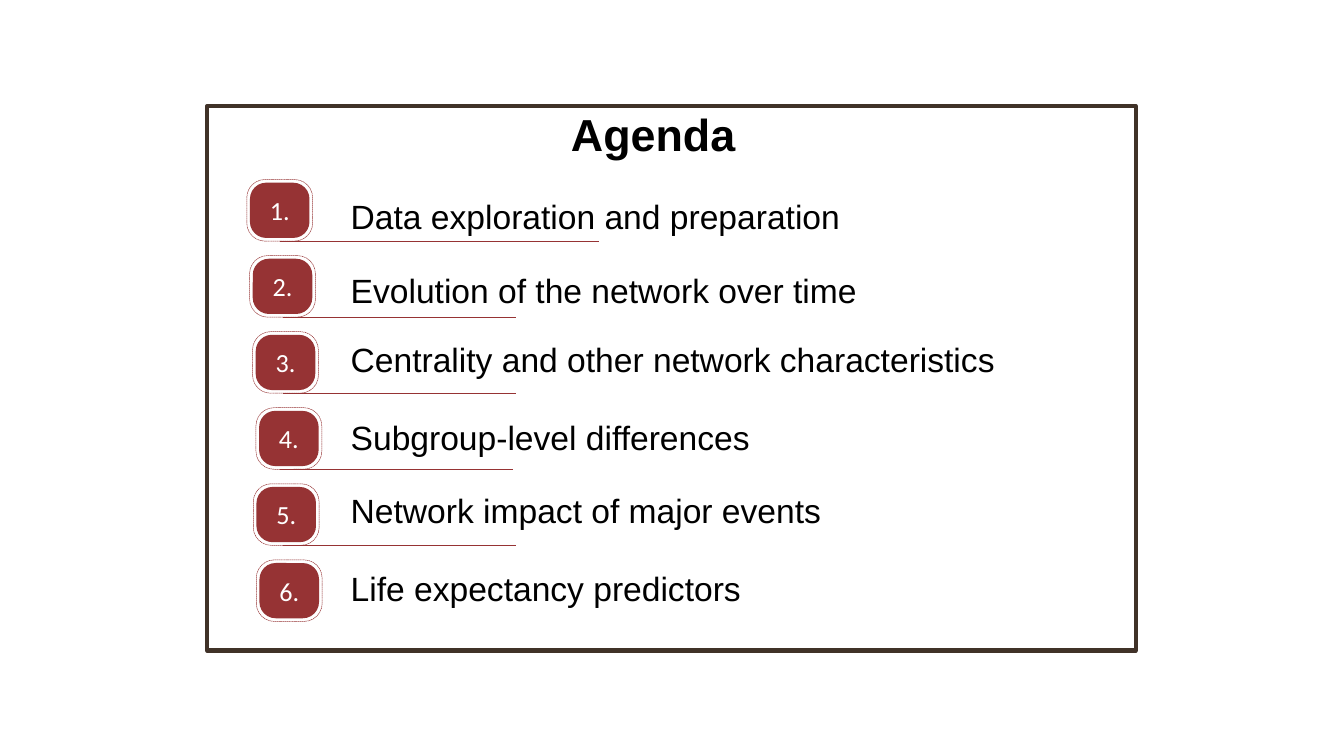
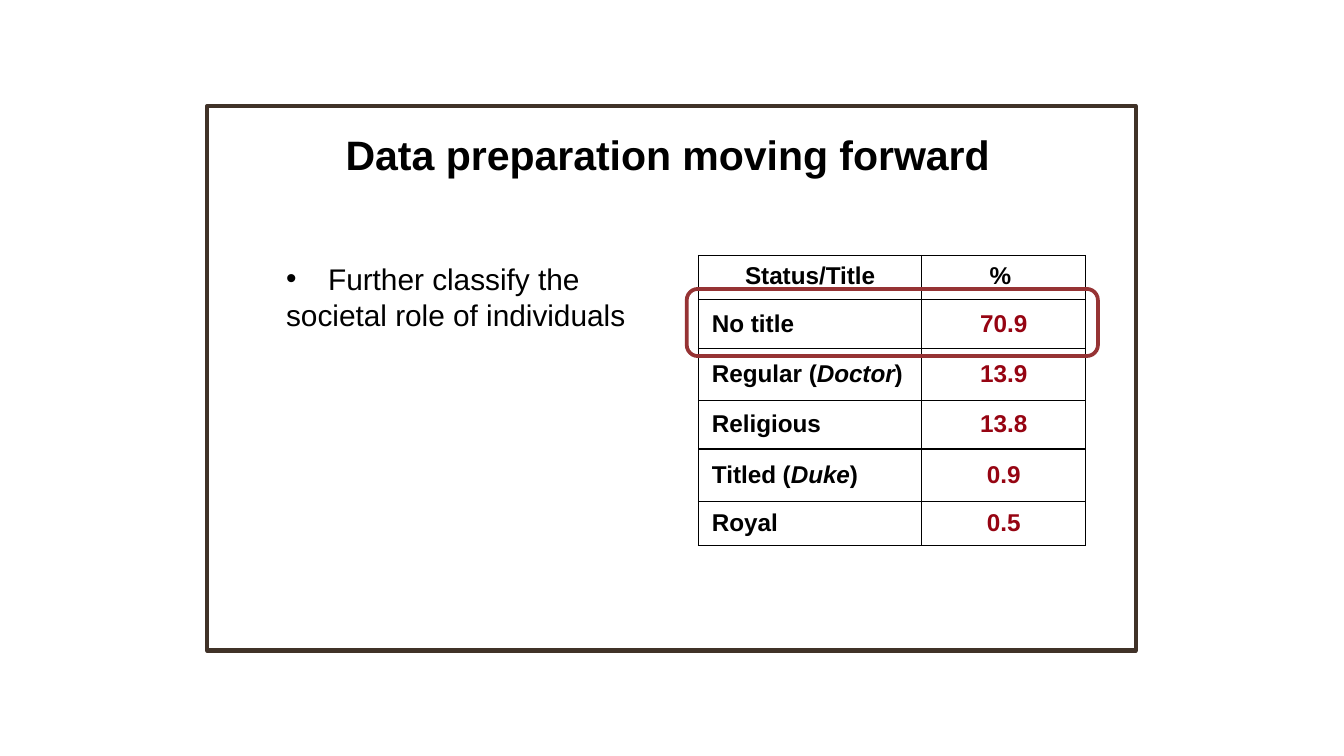
from dataclasses import dataclass

from lxml.etree import SubElement
from pptx import Presentation
from pptx.dml.color import RGBColor
from pptx.enum.dml import MSO_LINE_DASH_STYLE as Dash
from pptx.enum.shapes import MSO_CONNECTOR_TYPE as Connector
from pptx.enum.shapes import MSO_SHAPE as Shape
from pptx.enum.text import MSO_ANCHOR as Anchor
from pptx.enum.text import PP_ALIGN as Align
from pptx.oxml.ns import qn
from pptx.util import Pt


@dataclass(frozen=True)
class Theme:
    font: str = "Arial"
    badge_font: str = "Calibri"
    black: str = "000000"
    white: str = "FFFFFF"
    frame: str = "403228"
    accent: str = "963334"
    value: str = "960412"
    agenda_title_size: float = 24
    title_size: float = 22
    agenda_size: float = 18
    body_size: float = 16
    badge_size: float = 14
    table_size: float = 13


THEME = Theme()
BADGE_WIDTH, BADGE_HEIGHT = 31.9, 29.6
RING_GAP = 1.7
BADGE_TOP, BADGE_PITCH = 97.9, 40.75

# text, text top, badge left, underline start and end
AGENDA = [
    ("Data exploration and preparation", 103.7, 133.9, 149.8, 321.1),
    ("Evolution of the network over time", 143.3, 135.4, 151.6, 276.5),
    ("Centrality and other network characteristics", 180.7, 137, 151.6, 276.5),
    ("Subgroup-level differences", 222.5, 138.8, 149.8, 275),
    ("Network impact of major events", 261.4, 137.4, 151.6, 276.5),
    ("Life expectancy predictors", 303.1, 139, None, None),
]

# status, example in italics, percentage
STATUSES = [
    ("No title", "", "70.9"),
    ("Regular (", "Doctor", "13.9"),
    ("Religious", "", "13.8"),
    ("Titled (", "Duke", "0.9"),
    ("Royal", "", "0.5"),
]
COLUMN_WIDTHS = [119.5, 88]
ROW_HEIGHTS = [23.6, 26.4, 27.6, 26.2, 28, 23.6]


def rgb(colour):
    return RGBColor.from_string(colour)


def style(font, size, colour=THEME.black, name=THEME.font, bold=False):
    font.size, font.name, font.bold = Pt(size), name, bold
    font.color.rgb = rgb(colour)


def add_box(slide, kind, left, top, width, height, fill=None, line=None,
            weight=1.0):
    box = slide.shapes.add_shape(kind, Pt(left), Pt(top), Pt(width), Pt(height))
    box.shadow.inherit = False
    if fill:
        box.fill.solid()
        box.fill.fore_color.rgb = rgb(fill)
    else:
        box.fill.background()
    if line:
        box.line.color.rgb = rgb(line)
        box.line.width = Pt(weight)
    else:
        box.line.fill.background()
    return box


def add_text(slide, text, left, top, width, height, size, inset=7.2,
             align=Align.LEFT, bold=False):
    box = slide.shapes.add_textbox(Pt(left), Pt(top), Pt(width), Pt(height))
    frame = box.text_frame
    frame.word_wrap = True
    frame.vertical_anchor = Anchor.MIDDLE
    frame.margin_left = frame.margin_right = Pt(inset)
    frame.margin_top = frame.margin_bottom = Pt(inset)
    frame.text = text
    for paragraph in frame.paragraphs:
        paragraph.alignment = align
        for run in paragraph.runs:
            style(run.font, size, bold=bold)
    return frame


def add_framed_slide(prs):
    slide = prs.slides.add_slide(prs.slide_layouts[6])
    add_box(slide, Shape.RECTANGLE, 110.9, 56.9, 497.5, 291.6,
            line=THEME.frame, weight=2.25)
    return slide


def add_title(slide, text, left, top, width, size):
    add_text(slide, text, left, top, width, 39.6, size,
             align=Align.CENTER, bold=True)


def add_badge(slide, number, left, top):
    """Draw a numbered badge and return the dashed ring around it."""
    badge = add_box(slide, Shape.ROUNDED_RECTANGLE, left, top,
                    BADGE_WIDTH, BADGE_HEIGHT, fill=THEME.accent)
    frame = badge.text_frame
    frame.text = f"{number}. "
    frame.vertical_anchor = Anchor.MIDDLE
    frame.paragraphs[0].alignment = Align.CENTER
    style(frame.paragraphs[0].runs[0].font, THEME.badge_size, THEME.white,
          THEME.badge_font)
    ring = add_box(slide, Shape.ROUNDED_RECTANGLE,
                   left - RING_GAP, top - RING_GAP,
                   BADGE_WIDTH + 2 * RING_GAP, BADGE_HEIGHT + 2 * RING_GAP,
                   line=THEME.accent, weight=0.25)
    ring.line.dash_style = Dash.SQUARE_DOT
    for rounded in (badge, ring):
        rounded.adjustments[0] = 0.294
    return ring


def add_underline(slide, ring, start, end):
    """Draw a line at the ring's bottom, joined when it starts at the middle."""
    bottom = ring.top + ring.height
    line = slide.shapes.add_connector(Connector.STRAIGHT, Pt(start), bottom,
                                      Pt(end), bottom)
    line.line.color.rgb = rgb(THEME.accent)
    line.line.width = Pt(0.25)
    SubElement(line._element.spPr, qn("a:effectLst"))
    if abs(ring.left + ring.width // 2 - Pt(start)) < Pt(0.5):
        line.begin_connect(ring, 2)


def add_bullet(paragraph, indent):
    properties = paragraph._p.get_or_add_pPr()
    properties.set("marL", str(Pt(indent)))
    properties.set("indent", str(-Pt(indent)))
    colour = SubElement(properties, qn("a:buClr"))
    SubElement(colour, qn("a:srgbClr"), val=THEME.black)
    SubElement(properties, qn("a:buFont"), typeface=THEME.font)
    SubElement(properties, qn("a:buChar"), char="•")


def set_borders(cell):
    properties = cell._tc.get_or_add_tcPr()
    for side in ("lnL", "lnR", "lnT", "lnB"):
        border = SubElement(properties, qn(f"a:{side}"), w=str(Pt(0.75)))
        fill = SubElement(border, qn("a:solidFill"))
        SubElement(fill, qn("a:srgbClr"), val=THEME.black)


def fill_cell(cell, text, example="", colour=THEME.black, align=Align.CENTER,
              anchor=Anchor.MIDDLE):
    set_borders(cell)
    cell.fill.background()
    cell.vertical_anchor = anchor
    paragraph = cell.text_frame.paragraphs[0]
    paragraph.alignment = align
    parts = [text, example, ")"] if example else [text]
    for part in parts:
        run = paragraph.add_run()
        run.text = part
        style(run.font, THEME.table_size, colour, bold=True)
        run.font.italic = bool(example) and part == example


def add_status_table(slide, left, top):
    table = slide.shapes.add_table(
        len(ROW_HEIGHTS), len(COLUMN_WIDTHS), Pt(left), Pt(top),
        Pt(sum(COLUMN_WIDTHS)), Pt(sum(ROW_HEIGHTS))).table
    table.first_row = table.horz_banding = False
    for column, width in zip(table.columns, COLUMN_WIDTHS):
        column.width = Pt(width)
    for row, height in zip(table.rows, ROW_HEIGHTS):
        row.height = Pt(height)
    for column, heading in enumerate(("Status/Title", "% ")):
        fill_cell(table.cell(0, column), heading, anchor=Anchor.TOP)
    for row, (status, example, percentage) in enumerate(STATUSES, start=1):
        fill_cell(table.cell(row, 0), status, example, align=Align.LEFT)
        fill_cell(table.cell(row, 1), percentage, colour=THEME.value)


def build_agenda(prs):
    slide = add_framed_slide(prs)
    add_title(slide, "Agenda", 155.5, 51.8, 388.8, THEME.agenda_title_size)
    for index, (topic, text_top, badge_left, start, end) in enumerate(AGENDA):
        ring = add_badge(slide, index + 1, badge_left,
                         BADGE_TOP + index * BADGE_PITCH)
        if start:
            add_underline(slide, ring, start, end)
        frame = add_text(slide, topic, 183.6, text_top, 374.4, 26.6,
                         THEME.agenda_size, inset=4.3)
        frame.paragraphs[0].line_spacing = 0.9


def build_data_preparation(prs):
    slide = add_framed_slide(prs)
    add_title(slide, "Data preparation moving forward", 148.3, 62.6, 419,
              THEME.title_size)
    note = add_text(slide, "Further classify the\nsocietal role of individuals",
                    146.2, 136.1, 208, 46.1, THEME.body_size)
    note.vertical_anchor = Anchor.TOP
    note.margin_top = note.margin_bottom = Pt(3.6)
    add_bullet(note.paragraphs[0], 22.5)
    add_status_table(slide, 374.2, 136.8)
    highlight = add_box(slide, Shape.ROUNDED_RECTANGLE, 367.9, 154.8, 220.3, 36,
                        line=THEME.accent, weight=2)
    highlight.adjustments[0] = 0.167


def main():
    prs = Presentation()
    prs.slide_width, prs.slide_height = Pt(720), Pt(405)
    build_agenda(prs)
    build_data_preparation(prs)
    prs.save("out.pptx")


if __name__ == "__main__":
    main()
